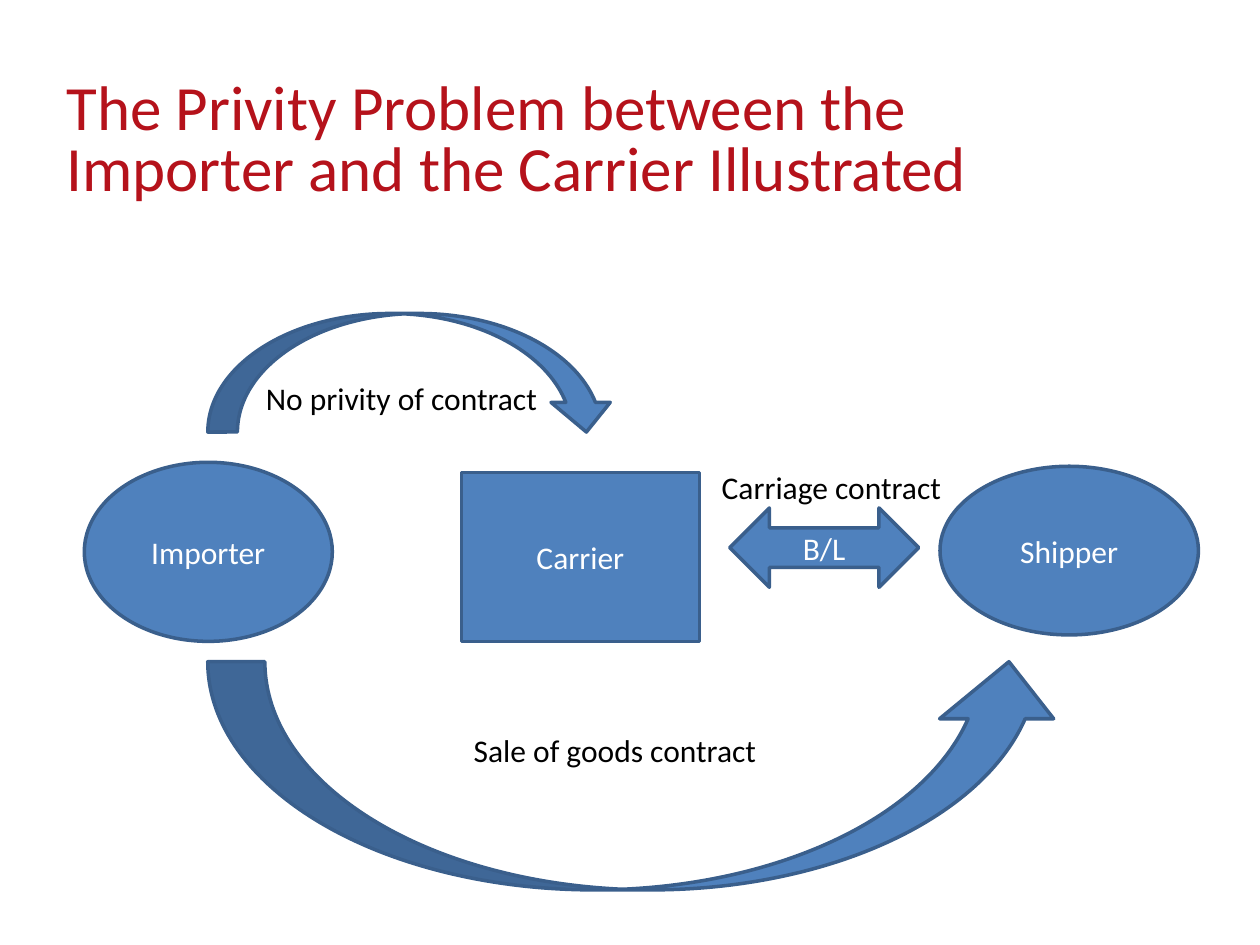
from pptx import Presentation
from pptx.dml.color import RGBColor
from pptx.enum.shapes import MSO_SHAPE
from pptx.enum.text import MSO_ANCHOR, MSO_AUTO_SIZE, PP_ALIGN
from pptx.util import Cm, Pt

OVAL, RECT = MSO_SHAPE.OVAL, MSO_SHAPE.RECTANGLE
TWO_WAY = MSO_SHAPE.LEFT_RIGHT_ARROW
ARC_UP, ARC_DOWN = MSO_SHAPE.CURVED_UP_ARROW, MSO_SHAPE.CURVED_DOWN_ARROW
LEFT, CENTER = PP_ALIGN.LEFT, PP_ALIGN.CENTER
TOP, MIDDLE = MSO_ANCHOR.TOP, MSO_ANCHOR.MIDDLE
FIT = MSO_AUTO_SIZE.SHAPE_TO_FIT_TEXT

FONT = "Calibri"
COLORS = {"title": "B5121B", "fill": "4F81BD", "line": "3A5F8C",
          "light": "FFFFFF", "dark": "000000"}


def color(name):
    return RGBColor.from_string(COLORS[name])


def inner(box, x, y, w, h):
    """Turn a place inside a box into a place on the slide."""
    return box[0] + x, box[1] + y, w, h


def write(frame, text, size=18, ink="dark", align=LEFT, anchor=TOP,
          wrap=True, pitch=None):
    frame.word_wrap = wrap
    frame.vertical_anchor = anchor
    para = frame.paragraphs[0]
    para.alignment = align
    if pitch:
        para.line_spacing = Pt(pitch)
    run = para.add_run()
    run.text = text
    run.font.name = FONT
    run.font.size = Pt(size)
    run.font.color.rgb = color(ink)


def add_label(slide, box, text):
    frame = slide.shapes.add_textbox(*map(Cm, box)).text_frame
    write(frame, text, wrap=False)
    frame.auto_size = FIT


def add_block(slide, kind, box, text=None):
    shape = slide.shapes.add_shape(kind, *map(Cm, box))
    shape.shadow.inherit = False
    shape.fill.solid()
    shape.fill.fore_color.rgb = color("fill")
    shape.line.color.rgb = color("line")
    shape.line.width = Pt(2)
    if text:
        write(shape.text_frame, text, ink="light", align=CENTER, anchor=MIDDLE)


def add_title(slide, box, text):
    frame = slide.shapes.add_textbox(*map(Cm, box)).text_frame
    write(frame, text, size=36, ink="title", pitch=35)


def add_row(slide, box):
    """Three parties, with the carriage contract between the last two."""
    parts = [
        (OVAL, (17.25, 0.08, 5.21, 3.4), "Shipper"),
        (RECT, (7.6, 0.21, 4.8, 3.4), "Carrier"),
        (OVAL, (0, 0, 5, 3.61), "Importer"),
        (TWO_WAY, (13.01, 0.92, 3.81, 1.6), "B/L"),
    ]
    for kind, place, text in parts:
        add_block(slide, kind, inner(box, *place), text)
    add_label(slide, inner(box, 12.6, 0, 4.98, 1.02), "Carriage contract")


def add_arc(slide, box, kind, place, text):
    """A curved arrow that fills the box, with a label inside it."""
    add_block(slide, kind, box)
    add_label(slide, inner(box, *place), text)


def main():
    prs = Presentation()
    prs.slide_width, prs.slide_height = Cm(25.4), Cm(19.05)
    slide = prs.slides.add_slide(prs.slide_layouts[6])

    # Title
    add_title(slide, (1.09, 1.52, 18.8, 3.2),
              "The Privity Problem between the Importer and the Carrier Illustrated")

    # Parties
    add_row(slide, (1.7, 9.32, 22.46, 3.61))

    # Links from the importer to the shipper and to the carrier
    add_arc(slide, (4.19, 13.34, 17.3, 4.6), ARC_UP,
            (5.11, 1.27, 6.27, 1.02), "Sale of goods contract")
    add_arc(slide, (4.19, 6.32, 8.23, 2.39), ARC_DOWN,
            (0.92, 1.2, 6.05, 1.02), "No privity of contract")

    prs.save("out.pptx")


if __name__ == "__main__":
    main()
